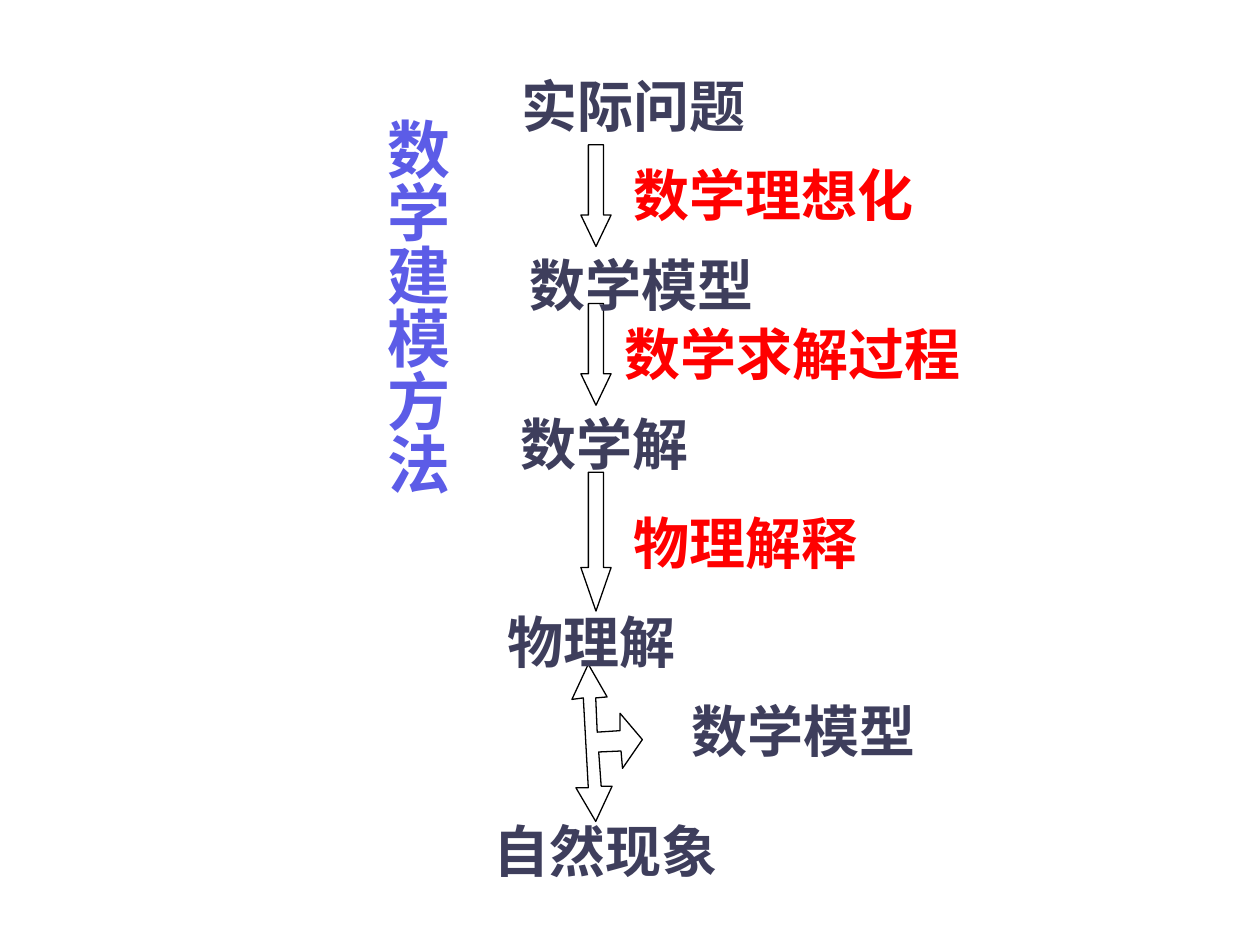
from lxml import etree
from pptx import Presentation
from pptx import util as u
from pptx.dml.color import RGBColor
from pptx.enum import shapes, text
from pptx.oxml.ns import qn

DARK = RGBColor(0x3E, 0x3E, 0x5C)
RED = RGBColor(0xFF, 0x00, 0x00)
BLUE = RGBColor(0x5C, 0x5C, 0xE7)
WHITE = RGBColor(0xFF, 0xFF, 0xFF)
BLACK = RGBColor(0x00, 0x00, 0x00)
CJK = "Noto Sans CJK SC"


def paint(shape):
    shape.shadow.inherit = False
    shape.fill.solid()
    shape.fill.fore_color.rgb = WHITE
    shape.line.color.rgb = BLACK
    shape.line.width = u.Pt(0.75)


def style(para, size, face, color):
    para.alignment = text.PP_ALIGN.CENTER
    font = para.font
    font.size = u.Pt(size)
    font.bold = True
    font.name = face
    font.color.rgb = color
    # East Asian characters take their face from a:ea
    props = para._p.pPr.find(qn("a:defRPr"))
    etree.SubElement(props, qn("a:ea")).set("typeface", CJK)


deck = Presentation()
deck.slide_width, deck.slide_height = u.Cm(25.4), u.Cm(19.05)
slide = deck.slides.add_slide(deck.slide_layouts[5])

# Vertical title
title = slide.shapes.title
title.left, title.top = u.Cm(7.26), u.Cm(2.13)
title.width, title.height = u.Cm(2.03), u.Cm(11.81)
frame = title.text_frame
frame.text = "数学建模方法"
frame.word_wrap = True
frame.auto_size = text.MSO_AUTO_SIZE.NONE
frame.vertical_anchor = text.MSO_ANCHOR.TOP
frame.margin_left = frame.margin_right = u.Cm(0.13)
frame.margin_top = frame.margin_bottom = u.Cm(0.25)
frame._txBody.bodyPr.set("vert", "eaVert")
style(frame.paragraphs[0], 36, "Arial", BLUE)

# Down arrows between the steps
for top, high in [(2.92, 2.05), (6.12, 2.05), (9.52, 2.8)]:
    arrow = slide.shapes.add_shape(shapes.MSO_SHAPE.DOWN_ARROW, u.Cm(11.71),
                                   u.Cm(top), u.Cm(0.61), u.Cm(high))
    arrow.adjustments[0] = 0.5
    arrow.adjustments[1] = 1.04 if high < 2.5 else 1.44
    paint(arrow)

# Tilted three-way arrow
points = [(12.95, 14.91), (12.5, 14.38), (12.5, 14.73), (12.04, 14.76),
          (12.01, 14.07), (12.24, 14.05), (11.86, 13.39), (11.53, 14.1),
          (11.76, 14.07), (11.86, 15.88), (11.61, 15.88), (12.01, 16.56),
          (12.34, 15.85), (12.12, 15.85), (12.07, 15.16), (12.52, 15.14),
          (12.55, 15.49)]
points = [(u.Cm(x), u.Cm(y)) for x, y in points]
path = slide.shapes.build_freeform(*points[0])
path.add_line_segments(points[1:], close=True)
paint(path.convert_to_shape())

# Steps and the actions between them; width follows the character count
labels = [
    ("实际问题", 10.26, 1.32, DARK),
    ("数学理想化", 12.52, 3.12, RED),
    ("数学模型", 10.41, 4.93, DARK),
    ("数学求解过程", 12.34, 6.32, RED),
    ("数学解", 10.24, 8.13, DARK),
    ("物理解释", 12.52, 10.13, RED),
    ("物理解", 9.98, 12.12, DARK),
    ("数学模型", 13.68, 13.92, DARK),
    ("自然现象", 9.7, 16.33, DARK),
]
for words, left, top, color in labels:
    wide = 1.13 * len(words) + 0.51
    box = slide.shapes.add_textbox(u.Cm(left), u.Cm(top), u.Cm(wide), u.Cm(1.63))
    frame = box.text_frame
    frame.word_wrap = False
    frame.text = words
    style(frame.paragraphs[0], 32, CJK, color)

deck.save("out.pptx")
